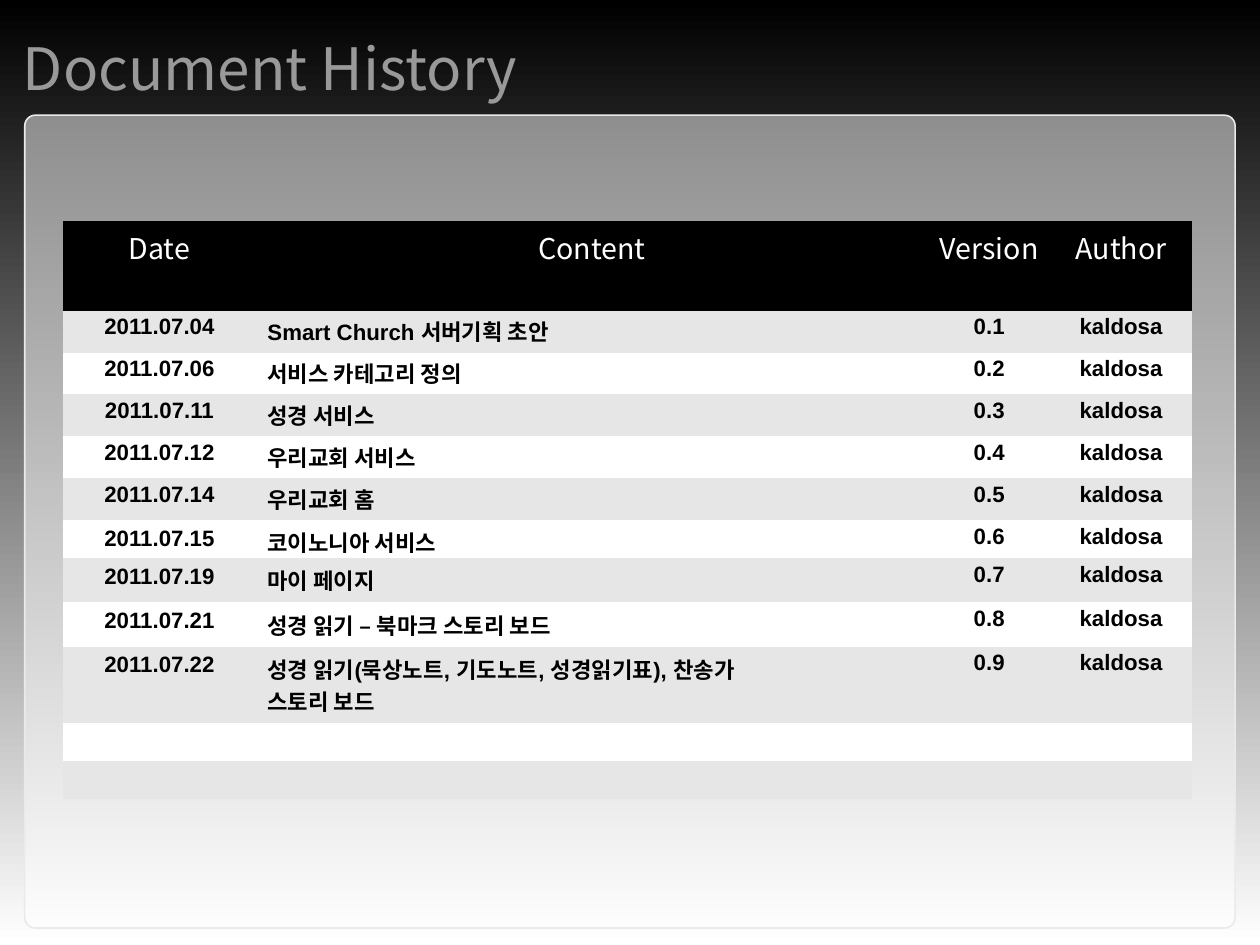
from lxml import etree
from pptx import Presentation
from pptx.dml.color import RGBColor
from pptx.enum.shapes import MSO_SHAPE
from pptx.enum.text import MSO_ANCHOR, PP_ALIGN
from pptx.oxml.ns import qn
from pptx.util import Pt

ROUNDED = MSO_SHAPE.ROUNDED_RECTANGLE
MIDDLE = MSO_ANCHOR.MIDDLE
LEFT, CENTER = PP_ALIGN.LEFT, PP_ALIGN.CENTER

# Content
TITLE = "Document History"
HEADERS = ["Date", "Content", "Version", "Author"]
AUTHOR = "kaldosa"
HISTORY = [
    ("2011.07.04", ["Smart Church 서버기획 초안"], "0.1"),
    ("2011.07.06", ["서비스 카테고리 정의"], "0.2"),
    ("2011.07.11", ["성경 서비스"], "0.3"),
    ("2011.07.12", ["우리교회 서비스"], "0.4"),
    ("2011.07.14", ["우리교회 홈"], "0.5"),
    ("2011.07.15", ["코이노니아 서비스"], "0.6"),
    ("2011.07.19", ["마이 페이지"], "0.7"),
    ("2011.07.21", ["성경 읽기 – 북마크 스토리 보드"], "0.8"),
    ("2011.07.22", ["성경 읽기(묵상노트, 기도노트, 성경읽기표), 찬송가", "스토리 보드"], "0.9"),
]
SPARE_ROWS = 2

# Look
COLORS = {
    "black": "000000", "white": "FFFFFF", "title": "999999",
    "edge": "EAEAEA", "band": "E6E6E6",
}
SANS, BODY = "Noto Sans CJK KR", "Arial"
NO_STYLE = "{2D5ABB26-0587-4C30-8999-92F81FD0307C}"
COLUMN_WIDTHS = [121.7, 423.5, 76.8, 89.4]
ROW_HEIGHTS = [56.5] + [26.4] * 5 + [23.9, 27.8, 27.8, 48] + [23.9] * SPARE_ROWS
HEADER_MARGIN, BODY_MARGIN = 6, 7.2
CONTENT_COLUMN = 1
TIGHT_ROW = 6  # this row is lower than its text with full margins
FIRST_LOOSE_ROW = 6  # dates and contents have single spacing from here on
TIGHT_SPACING = 0.93


def color(name):
    return RGBColor.from_string(COLORS[name])


def add_run(paragraph, text, size, font, color_name, bold=False):
    run = paragraph.add_run()
    run.text = text
    run.font.size = Pt(size)
    run.font.name = font
    run.font.bold = bold
    run.font.color.rgb = color(color_name)
    east_asian = etree.SubElement(run.font._element, qn("a:ea"))
    east_asian.set("typeface", SANS)


presentation = Presentation()
presentation.slide_width, presentation.slide_height = Pt(793.75), Pt(595.25)
slide = presentation.slides.add_slide(presentation.slide_layouts[5])

# Background, black at the top to white at the bottom
background = slide.background.fill
background.gradient()
background.gradient_angle = 270
for stop, name, position in zip(background.gradient_stops, ("black", "white"), (0, 1)):
    stop.color.rgb = color(name)
    stop.position = position

# Translucent panel
panel = slide.shapes.add_shape(ROUNDED, Pt(15.6), Pt(72.6), Pt(762.5), Pt(512))
panel.adjustments[0] = 0.013
panel.shadow.inherit = False
panel.fill.solid()
panel.fill.fore_color.rgb = color("white")
panel_color = panel._element.spPr.find(qn("a:solidFill"))[0]
etree.SubElement(panel_color, qn("a:alpha")).set("val", "50000")
panel.line.color.rgb = color("edge")
panel.line.width = Pt(1)

# Title
title = slide.shapes.title
title.left, title.top, title.width, title.height = Pt(14.4), Pt(14), Pt(714), Pt(57)
frame = title.text_frame
frame.margin_left = frame.margin_right = frame.margin_top = frame.margin_bottom = 0
frame.vertical_anchor = MIDDLE
frame.paragraphs[0].alignment = LEFT
add_run(frame.paragraphs[0], TITLE, 36.8, SANS, "title")

# History table
rows = [[[header] for header in HEADERS]]
rows += [[[date], content, [version], [AUTHOR]] for date, content, version in HISTORY]
rows += [[[], [], [], []]] * SPARE_ROWS
table_frame = slide.shapes.add_table(
    len(rows), len(HEADERS), Pt(39.6), Pt(139.2), Pt(sum(COLUMN_WIDTHS)), Pt(sum(ROW_HEIGHTS)))
table = table_frame.table
table._tbl.tblPr.find(qn("a:tableStyleId")).text = NO_STYLE
for column, width in zip(table.columns, COLUMN_WIDTHS):
    column.width = Pt(width)

for row_index, cells in enumerate(rows):
    table.rows[row_index].height = Pt(ROW_HEIGHTS[row_index])
    is_header = row_index == 0
    fill_name = "black" if is_header else "band" if row_index % 2 else "white"
    for column_index, lines in enumerate(cells):
        cell = table.cell(row_index, column_index)
        cell.fill.solid()
        cell.fill.fore_color.rgb = color(fill_name)
        cell.margin_left = cell.margin_right = Pt(HEADER_MARGIN if is_header else BODY_MARGIN)
        cell.margin_top = cell.margin_bottom = Pt(3.6)
        if row_index == TIGHT_ROW and column_index == CONTENT_COLUMN:
            cell.margin_bottom = 0
        if not lines:
            end = etree.SubElement(cell.text_frame.paragraphs[0]._p, qn("a:endParaRPr"))
            end.set("sz", "1000")
        is_loose = row_index >= FIRST_LOOSE_ROW and column_index <= CONTENT_COLUMN
        for line_index, line in enumerate(lines):
            if line_index:
                paragraph = cell.text_frame.add_paragraph()
            else:
                paragraph = cell.text_frame.paragraphs[0]
            if is_header:
                paragraph.alignment = CENTER
                add_run(paragraph, line, 18, SANS, "white")
                continue
            paragraph.alignment = LEFT if column_index == CONTENT_COLUMN else CENTER
            if not is_loose:
                paragraph.line_spacing = TIGHT_SPACING
            add_run(paragraph, line, 14, BODY, "black", bold=True)

presentation.save("out.pptx")
